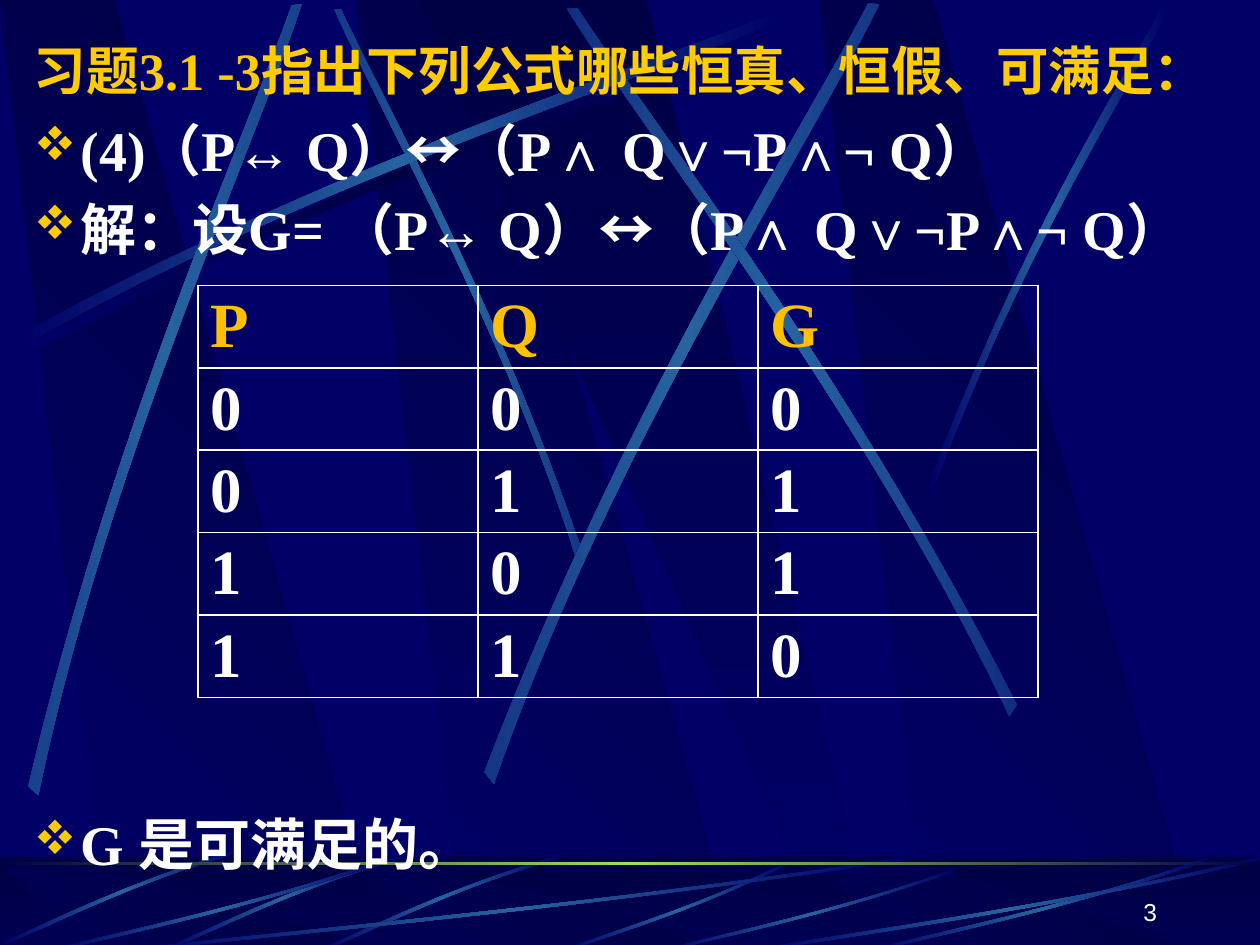
from collections import namedtuple

from lxml import etree
from pptx import Presentation
from pptx.dml.color import RGBColor
from pptx.enum.shapes import MSO_SHAPE
from pptx.enum.text import MSO_ANCHOR, PP_ALIGN
from pptx.oxml.ns import qn
from pptx.util import Inches, Pt

RECT = MSO_SHAPE.RECTANGLE
MIDDLE, TOP, BOTTOM = MSO_ANCHOR.MIDDLE, MSO_ANCHOR.TOP, MSO_ANCHOR.BOTTOM
LEFT, RIGHT = PP_ALIGN.LEFT, PP_ALIGN.RIGHT

COLS, ROWS = 100, 75
CELL = Inches(0.1)  # one square cell of the 100 by 75 slide grid

Box = namedtuple("Box", "x y w h")


class Theme:
    serif, sans, symbol = "Times New Roman", "Arial", "Wingdings"
    navy, deep, streak, horizon = "000066", "000044", "2663A0", "9CE157"
    white, gold, amber = "FFFFFF", "FFCC00", "FFC000"
    title, body, table, number = 30, 32, 36, 14


# Outlines as shares of their box
SHARD = [(0.28, 1), (1, 1), (0.3, 0), (0, 0)]
WEDGE = [(0, 0), (0.9, 1), (1, 1), (0.5, 0)]
# Two cubic curves, four control points each
STREAK = [
    (0, 0.96), (0.43, 0.43), (0.83, 0.15), (0.99, 0),
    (1, 0.02), (0.83, 0.19), (0.38, 0.5), (0, 1),
]


def emu(box):
    return [round(v * CELL) for v in box]


def sub(parent, tag, **attrs):
    return etree.SubElement(parent, qn(tag), {k: str(v) for k, v in attrs.items()})


def gradient(shape, colors, angle=0):
    """Fill with evenly spaced colours; the angle stays fixed to the slide."""
    shape.fill.background()
    old = shape._element.spPr.find(qn("a:noFill"))
    grad = etree.Element(qn("a:gradFill"), rotWithShape="0")
    stops = sub(grad, "a:gsLst")
    for i, color in enumerate(colors):
        stop = sub(stops, "a:gs", pos=round(100000 * i / (len(colors) - 1)))
        sub(stop, "a:srgbClr", val=color)
    sub(grad, "a:lin", ang=angle * 60000, scaled=0)
    old.getparent().replace(old, grad)


def plain(shape):
    shape.shadow.inherit = False
    shape.line.fill.background()
    return shape


def add_rect(s, box):
    return plain(s.shapes.add_shape(RECT, *emu(box)))


def add_outline(s, box, shares):
    x, y, w, h = emu(box)
    points = [(x + px * w, y + py * h) for px, py in shares]
    builder = s.shapes.build_freeform(*points[0])
    builder.add_line_segments(points[1:], close=True)
    return plain(builder.convert_to_shape())


def bend(shape):
    """Turn the two long sides of a streak from line segments into cubic curves."""
    lines = list(shape._element.iter(qn("a:lnTo")))
    for side in (lines[:3], lines[4:7]):
        curve = etree.Element(qn("a:cubicBezTo"))
        side[0].addprevious(curve)
        for line in side:
            curve.append(line[0])
            line.getparent().remove(line)


def add_streak(s, box, rotation=0, flip_x=False, flip_y=False, glow=Theme.streak):
    shares = [(1 - x if flip_x else x, 1 - y if flip_y else y) for x, y in STREAK]
    shape = add_outline(s, box, shares)
    bend(shape)
    shape.rotation = rotation
    gradient(shape, [Theme.navy, glow, Theme.navy])


def add_shards(s, box):
    for x in (28.3, 0, 65):
        shard = add_outline(s, Box(box.x + x, box.y, 30.2, box.h), SHARD)
        gradient(shard, [Theme.navy, Theme.deep], 315)
    wedge = add_outline(s, Box(box.x + 33.3, box.y, 36.1, box.h), WEDGE)
    gradient(wedge, [Theme.deep, Theme.navy], 90)


def add_sky(s, box):
    add_shards(s, box)
    add_streak(s, Box(2, 1.8, 60.8, 26.7), glow=Theme.deep)
    for streak, rotation, flip_x in (
        (Box(14.1, 13.5, 44.2, 17.5), 45, True),
        (Box(1.4, 1, 60.8, 26.7), 0, False),
        (Box(-17.1, 18.2, 60.8, 26.7), 311.7, False),
        (Box(23.1, 16, 62.4, 30.1), 321.6, False),
        (Box(32.3, 15.2, 60.8, 26.7), 34.7, True),
        (Box(73.8, 0, 18.9, 39.7), 0, False),
    ):
        add_streak(s, streak, rotation, flip_x)


def add_floor(s, box):
    gradient(add_rect(s, box), [Theme.deep, Theme.navy], 90)
    add_shards(s, Box(box.x, box.y + 0.8, box.w, box.h - 0.8))
    veil = add_rect(s, box)
    veil.fill.solid()
    veil.fill.fore_color.rgb = RGBColor.from_string(Theme.deep)
    sub(veil._element.spPr.find(".//" + qn("a:srgbClr")), "a:alpha", val=50000)
    add_streak(s, Box(44.8, box.y + 0.2, 18, 7.3), flip_x=True, flip_y=True)
    for x, rise in ((25.8, 0.4), (13.3, 0.4), (0.5, 0.9)):
        add_streak(s, Box(x, box.y - rise, 18.4, 8.3), 315, flip_x=True)
    for x, w, drop in ((10, 61.7, 0), (4.2, 26.7, 0), (52.7, 23.1, 0.9),
                       (69.2, 26.7, 0), (60, 40, 0)):
        sweep = Box(x, box.y + drop, w, box.h - drop)
        add_streak(s, sweep, flip_x=True, flip_y=True)
    horizon = add_rect(s, Box(box.x, box.y + 0.4, box.w, 0.24))
    gradient(horizon, [Theme.deep, Theme.horizon, Theme.deep])


def move_to_layout(s):
    """Make the shapes drawn so far part of the slide's layout, as its backdrop."""
    for shape in list(s.shapes):
        shape._element.nvSpPr.cNvPr.set("id", str(100 + shape.shape_id))
        s.slide_layout.shapes._spTree.append(shape._element)


def style(font, size, color, name=Theme.serif, bold=True):
    font.name, font.size, font.bold = name, Pt(size), bold
    font.color.rgb = RGBColor.from_string(color)


def add_bullet(p):
    pPr = p._p.get_or_add_pPr()
    pPr.set("marL", str(Inches(0.37)))
    pPr.set("indent", str(-Inches(0.37)))
    sub(sub(pPr, "a:buClr"), "a:srgbClr", val=Theme.gold)
    sub(pPr, "a:buSzPct", val=85000)
    sub(pPr, "a:buFont", typeface=Theme.symbol, charset=2)
    sub(pPr, "a:buChar", char="v")


def add_text(s, box, lines, size, color, anchor=TOP, align=LEFT, bullets=False,
             name=Theme.serif, bold=True):
    tf = s.shapes.add_textbox(*emu(box)).text_frame
    tf.word_wrap = True
    tf.vertical_anchor = anchor
    tf.text = "\n".join(lines)
    for i, p in enumerate(tf.paragraphs):
        p.alignment = align
        if i:
            p.space_before = Pt(0.2 * size)
        if bullets:
            add_bullet(p)
        for r in p.runs:
            style(r.font, size, color, name, bold)


def add_borders(cell):
    tcPr = cell._tc.get_or_add_tcPr()
    for i, side in enumerate(("a:lnL", "a:lnR", "a:lnT", "a:lnB")):
        line = etree.Element(qn(side), w=str(Pt(1)))
        sub(sub(line, "a:solidFill"), "a:srgbClr", val=Theme.white)
        tcPr.insert(i, line)


def add_truth_table(s, box, rows):
    table = s.shapes.add_table(len(rows), len(rows[0]), *emu(box)).table
    table.first_row = table.horz_banding = False
    for i, row in enumerate(rows):
        for j, value in enumerate(row):
            cell = table.cell(i, j)
            cell.text = value
            cell.margin_bottom = 0
            cell.fill.background()
            add_borders(cell)
            color = Theme.white if i else Theme.amber
            style(cell.text_frame.paragraphs[0].runs[0].font, Theme.table, color)


def main():
    prs = Presentation()
    prs.slide_width, prs.slide_height = COLS * CELL, ROWS * CELL
    s = prs.slides.add_slide(prs.slide_layouts[6])
    s.background.fill.solid()
    s.background.fill.fore_color.rgb = RGBColor.from_string(Theme.navy)

    add_sky(s, Box(0, 0, COLS, ROWS))
    add_floor(s, Box(0, 68, COLS, 7.5))
    move_to_layout(s)
    add_text(s, Box(1.7, 2.5, 98.3, 6.1), ["习题3.1 -3指出下列公式哪些恒真、恒假、可满足："],
             Theme.title, Theme.gold, MIDDLE)
    formula = "（P↔ Q）↔（P∧ Q∨¬P∧¬ Q）"
    add_text(s, Box(1.7, 8.7, 96.7, 18), ["(4)" + formula, "解：设G= " + formula],
             Theme.body, Theme.white, bullets=True)
    add_text(s, Box(1.7, 63.75, 96.7, 6.4), ["G 是可满足的。"],
             Theme.body, Theme.white, bullets=True)
    add_text(s, Box(72, 69, 20.8, 5), ["3"], Theme.number, Theme.white,
             BOTTOM, RIGHT, name=Theme.sans, bold=False)
    add_truth_table(s, Box(15.7, 22.65, 66.7, 32.7), ["PQG", "000", "011", "101", "110"])
    prs.save("out.pptx")


if __name__ == "__main__":
    main()
